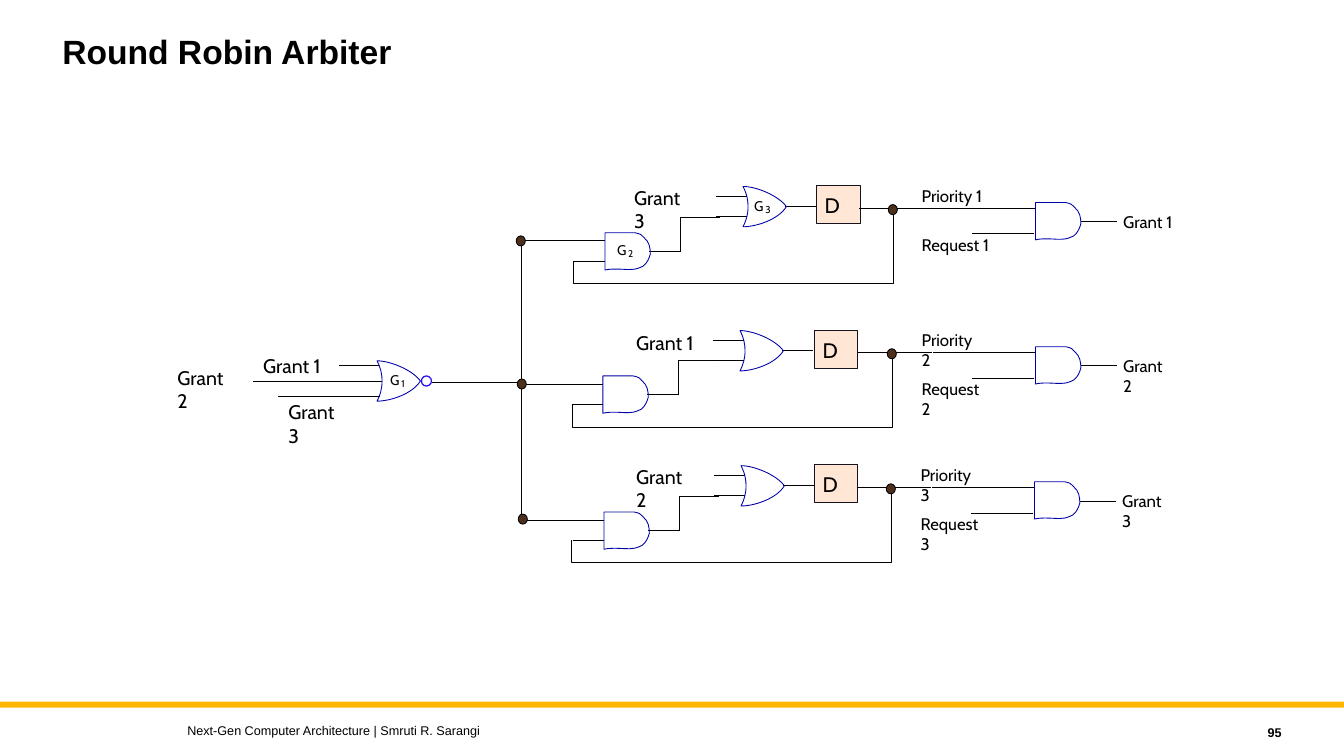
from dataclasses import dataclass

from lxml.etree import SubElement
from pptx import Presentation
from pptx.dml.color import RGBColor
from pptx.enum.shapes import MSO_CONNECTOR, MSO_SHAPE
from pptx.enum.text import MSO_ANCHOR, PP_ALIGN
from pptx.oxml.ns import qn
from pptx.util import Inches, Pt


@dataclass(frozen=True)
class Theme:
    black: str = "000000"
    elbow: str = "030303"
    feedback: str = "000005"
    bus: str = "040408"
    gate: str = "0000A9"
    bubble: str = "230CF3"
    dot: str = "4D301C"
    latch: str = "FFE6D5"
    latch_edge: str = "15111D"
    bar: str = "FFB600"
    heading_font: str = "Arial"
    diagram_font: str = "Cabin"
    title: float = 24
    latch_text: float = 15
    grant: float = 14
    signal: float = 12
    gate_name: float = 10
    footer: float = 9
    gate_index: float = 7
    wire: float = 0.63
    bubble_wire: float = 0.88


@dataclass(frozen=True)
class Row:
    """Numbers of one row, and how far its parts sit from those of row 1."""
    number: int
    previous: int
    grant_left: float
    and_gate: tuple
    or_gate: tuple
    latch: tuple
    feedback: tuple
    output: tuple


THEME = Theme()
ROWS = (
    Row(1, 3, 6.29, (0, 0), (0, 0), (0, 0), (0, 0), (0, 0)),
    Row(2, 1, 6.31, (-0.02, 1.42), (-0.03, 1.43), (-0.02, 1.44),
        (-0.01, 1.43), (0, 1.43)),
    Row(3, 2, 6.31, (-0.01, 2.77), (-0.02, 2.77), (-0.02, 2.77),
        (-0.02, 2.77), (-0.01, 2.77)),
)
# A start, then two control points and an end point for each curve.
AND_POINTS = (
    (0, 0),
    (0.1, 0), (0.2, 0), (0.3, 0),
    (0.35, 0.01), (0.37, 0.02), (0.39, 0.05),
    (0.44, 0.09), (0.45, 0.15), (0.45, 0.21),
    (0.44, 0.25), (0.42, 0.3), (0.38, 0.33),
    (0.36, 0.34), (0.34, 0.35), (0.3, 0.36),
    (0.24, 0.37), (0.18, 0.36), (0.12, 0.36),
    (0.08, 0.36), (0.04, 0.36), (0, 0.37),
)
OR_POINTS = (
    (0, 0),
    (0.04, 0.08), (0.05, 0.14), (0.05, 0.2),
    (0.05, 0.28), (0.03, 0.34), (0, 0.4),
    (0.13, 0.4), (0.35, 0.33), (0.43, 0.2),
    (0.35, 0.09), (0.13, 0), (0, 0),
)


def color(value):
    return RGBColor.from_string(value)


def add_text(slide, text, box, size, font=THEME.diagram_font, bold=False,
             inset=(0, 0), anchor=MSO_ANCHOR.TOP, align=PP_ALIGN.LEFT):
    frame = slide.shapes.add_textbox(*map(Inches, box)).text_frame
    frame.word_wrap = True
    frame.margin_left = frame.margin_right = Inches(inset[0])
    frame.margin_top = frame.margin_bottom = Inches(inset[1])
    frame.vertical_anchor = anchor
    paragraph = frame.paragraphs[0]
    paragraph.text = text
    paragraph.alignment = align
    paragraph.font.name = font
    paragraph.font.size = Pt(size)
    paragraph.font.bold = bold
    paragraph.font.color.rgb = color(THEME.black)
    return paragraph


def style(shape, fill=None, line=None, width=THEME.wire):
    shape.shadow.inherit = False
    if fill:
        shape.fill.solid()
        shape.fill.fore_color.rgb = color(fill)
    else:
        shape.fill.background()
    if line:
        shape.line.color.rgb = color(line)
        shape.line.width = Pt(width)
    else:
        shape.line.fill.background()


def add_preset(slide, preset, box, **look):
    style(slide.shapes.add_shape(preset, *map(Inches, box)), **look)


def add_outline(slide, points, offset, line, close=False):
    dx, dy = offset
    corners = [(Inches(x + dx), Inches(y + dy)) for x, y in points]
    builder = slide.shapes.build_freeform(*corners[0], scale=1.0)
    builder.add_line_segments(corners[1:], close=close)
    shape = builder.convert_to_shape()
    style(shape, line=line)
    return shape


def add_gate(slide, points, left, top):
    """Draw a gate, turning every three segments into one Bézier curve."""
    shape = add_outline(slide, points, (left, top), THEME.gate, close=True)
    segments = list(shape._element.iter(qn("a:lnTo")))
    for start in range(0, len(segments), 3):
        outline = segments[start].getparent()
        curve = SubElement(outline, qn("a:cubicBezTo"))
        segments[start].addprevious(curve)
        for segment in segments[start:start + 3]:
            curve.append(segment[0])
            outline.remove(segment)


def add_wire(slide, start, end, offset=(0, 0), line=THEME.black):
    ends = [value + shift for point in (start, end)
            for value, shift in zip(point, offset)]
    wire = slide.shapes.add_connector(MSO_CONNECTOR.STRAIGHT, *map(Inches, ends))
    wire.line.color.rgb = color(line)
    wire.line.width = Pt(THEME.wire)
    SubElement(wire._element.spPr, qn("a:effectLst"))


def add_level_wires(slide, wires, offset=(0, 0)):
    for x1, x2, y in wires:
        add_wire(slide, (x1, y), (x2, y), offset)


def add_dot(slide, x, y):
    add_preset(slide, MSO_SHAPE.OVAL, (x, y, 0.09, 0.1),
               fill=THEME.dot, line=THEME.feedback)


def add_gate_name(slide, index, left, top):
    add_text(slide, "G", (left, top, 0.09, 0.17), THEME.gate_name)
    add_text(slide, index, (left + 0.11, top + 0.06, 0.05, 0.12), THEME.gate_index)


def add_grant(slide, number, left, top):
    add_text(slide, f"Grant {number}", (left, top, 0.6, 0.24), THEME.grant)


def add_priority_gates(slide, row):
    dx, dy = row.or_gate
    add_level_wires(slide, ((7.41, 7.1, 1.95), (7.41, 7.1, 2.15),
                            (8.09, 7.79, 2.05)), row.or_gate)
    add_gate(slide, OR_POINTS, 7.37 + dx, 1.85 + dy)
    dx, dy = row.and_gate
    add_wire(slide, (6 + dx, 2.39 + dy), (5.17, 2.39 + dy))
    add_level_wires(slide, ((6, 5.69, 2.59), (6.75, 6.44, 2.49)), row.and_gate)
    add_gate(slide, AND_POINTS, 6 + dx, 2.31 + dy)
    add_outline(slide, ((6.75, 2.5), (6.75, 2.16), (7.14, 2.16)),
                row.and_gate, THEME.elbow)


def add_latch(slide, row):
    dx, dy = row.latch
    add_preset(slide, MSO_SHAPE.RECTANGLE, (8.1 + dx, 1.84 + dy, 0.43, 0.38),
               fill=THEME.latch, line=THEME.latch_edge)
    add_text(slide, "D", (8.18 + dx, 1.91 + dy, 0.13, 0.25), THEME.latch_text)
    add_grant(slide, row.previous, row.grant_left, 1.84 + dy)
    dx, dy = row.feedback
    add_level_wires(slide, ((9.25, 8.52, 2.07),), row.feedback)
    add_outline(slide, ((8.86, 2.07), (8.86, 2.81), (5.69, 2.81), (5.69, 2.59)),
                row.feedback, THEME.feedback)
    add_dot(slide, 8.81 + dx, 2.03 + dy)


def add_grant_output(slide, row):
    dx, dy = row.output
    add_level_wires(slide, ((10.27, 9.25, 2.07), (10.26, 9.64, 2.32),
                            (11.08, 10.72, 2.2)), row.output)
    for signal, left, top, width in (("Priority", 9.14, 1.84, 0.62),
                                     ("Request", 9.14, 2.33, 0.68),
                                     ("Grant", 11.14, 2.1, 0.51)):
        add_text(slide, f"{signal} {row.number}",
                 (left + dx, top + dy, width, 0.2), THEME.signal)
    add_gate(slide, AND_POINTS, 10.27 + dx, 2.01 + dy)


def add_no_grant_gate(slide):
    """Draw the NOR gate and the bus it drives."""
    add_wire(slide, (5.17, 2.37), (5.17, 5.17), line=THEME.bus)
    for x, y in ((5.12, 2.34), (5.13, 3.76), (5.14, 5.1)):
        add_dot(slide, x, y)
    add_level_wires(slide, ((5.14, 4.28, 3.79), (3.76, 3.36, 3.63),
                            (3.79, 2.51, 3.78), (3.77, 2.76, 3.93)))
    add_gate(slide, OR_POINTS, 3.74, 3.58)
    add_preset(slide, MSO_SHAPE.OVAL, (4.18, 3.73, 0.1, 0.1),
               line=THEME.bubble, width=THEME.bubble_wire)
    for number, left, top in ((1, 2.61, 3.51), (2, 1.76, 3.63), (3, 2.86, 3.97)):
        add_grant(slide, number, left, top)


def add_frame(slide):
    add_preset(slide, MSO_SHAPE.RECTANGLE, (0, 6.96, 13.33, 0.06), fill=THEME.bar)
    title = add_text(slide, "Round Robin Arbiter", (0.52, 0.3, 10, 0.9), THEME.title,
                     THEME.heading_font, bold=True, inset=(0.1, 0.05))
    title.line_spacing = 0.9
    footer = {"font": THEME.heading_font, "inset": (0.1, 0.05),
              "anchor": MSO_ANCHOR.MIDDLE}
    add_text(slide, "95", (11.41, 7.14, 1.4, 0.25), THEME.footer,
             bold=True, align=PP_ALIGN.RIGHT, **footer)
    add_text(slide, "Next-Gen Computer Architecture | Smruti R. Sarangi",
             (1.76, 7.12, 8, 0.25), THEME.footer, **footer)


def main():
    presentation = Presentation()
    presentation.slide_width = Inches(13.33)
    presentation.slide_height = Inches(7.5)
    slide = presentation.slides.add_slide(presentation.slide_layouts[6])
    add_frame(slide)
    for add_stage in (add_priority_gates, add_latch, add_grant_output):
        for row in ROWS:
            add_stage(slide, row)
    add_no_grant_gate(slide)
    for index, left, top in (("1", 3.87, 3.69), ("2", 6.12, 2.4), ("3", 7.48, 1.96)):
        add_gate_name(slide, index, left, top)
    presentation.save("out.pptx")


if __name__ == "__main__":
    main()
